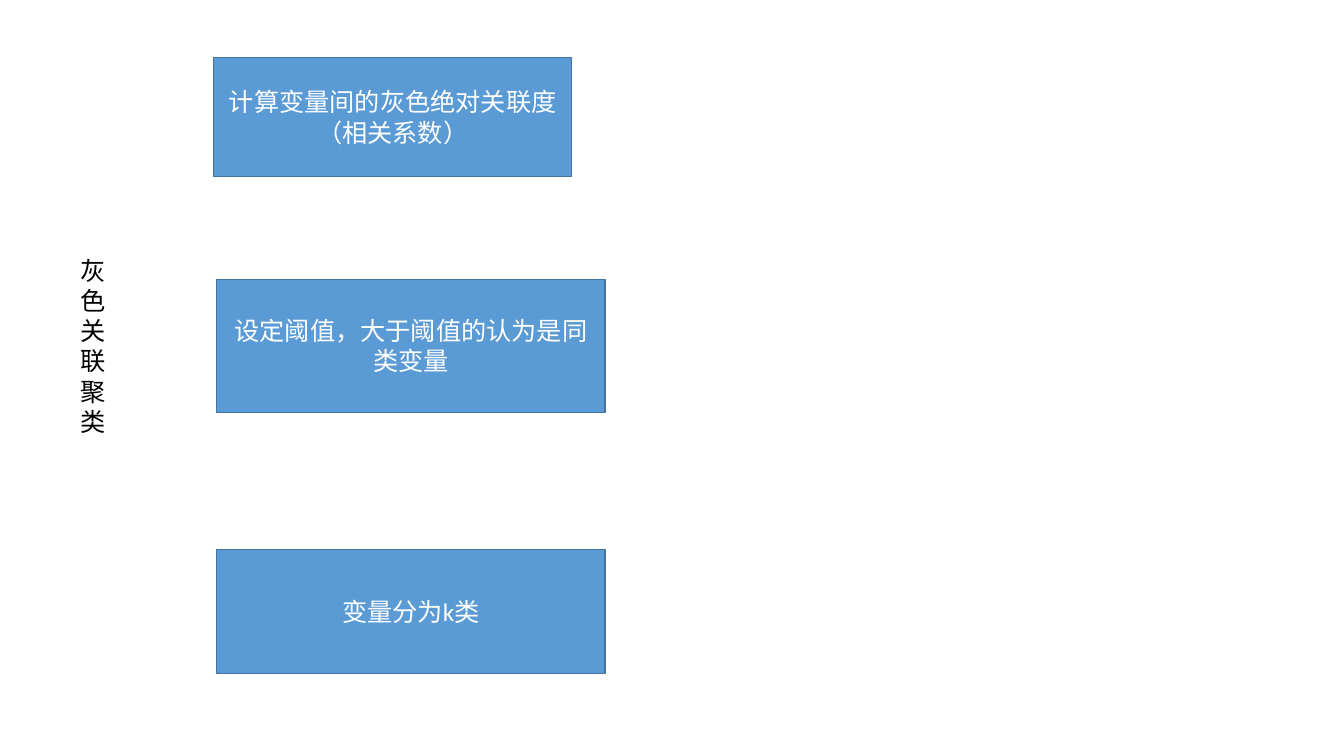
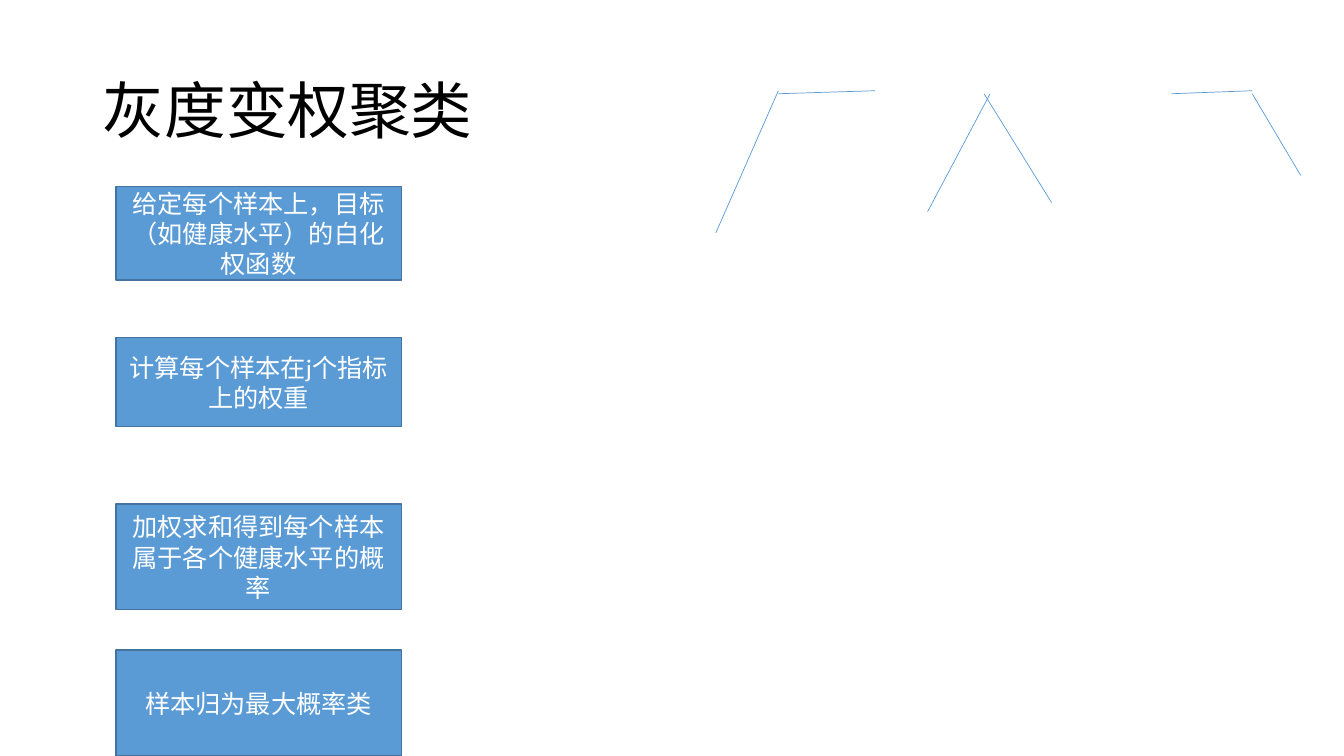
from pptx import Presentation
from pptx.dml.color import RGBColor
from pptx.enum.shapes import MSO_CONNECTOR, MSO_SHAPE
from pptx.enum.text import MSO_ANCHOR, MSO_AUTO_SIZE, PP_ALIGN
from pptx.oxml.ns import qn
from pptx.util import Inches, Pt
from lxml import etree

BLUE = RGBColor(0x5B, 0x9B, 0xD5)
DARK_BLUE = RGBColor(0x43, 0x73, 0x9E)
WHITE = RGBColor(0xFF, 0xFF, 0xFF)
BLACK = RGBColor(0, 0, 0)
FONT = "Calibri"


def write(shape, text, size, color, align, anchor):
    """Put one formatted paragraph into a shape and return its text frame."""
    tf = shape.text_frame
    tf.text = text
    tf.word_wrap = True
    tf.vertical_anchor = anchor
    p = tf.paragraphs[0]
    p.alignment = align
    font = p.runs[0].font
    font.name, font.size, font.color.rgb = FONT, Pt(size), color
    return tf


def add_step(slide, text, left, top, width, height):
    """Add one blue step box with centred white text."""
    s = slide.shapes.add_shape(MSO_SHAPE.RECTANGLE, Inches(left), Inches(top),
                               Inches(width), Inches(height))
    s.shadow.inherit = False
    s.fill.solid()
    s.fill.fore_color.rgb = BLUE
    s.line.color.rgb = DARK_BLUE
    s.line.width = Pt(1)
    write(s, text, 18, WHITE, PP_ALIGN.CENTER, MSO_ANCHOR.MIDDLE)


prs = Presentation()
prs.slide_width, prs.slide_height = Inches(13.33), Inches(7.5)

# Slide 1: grey relational clustering
slide = prs.slides.add_slide(prs.slide_layouts[6])
for text, left, top, width, height in [
    ("计算变量间的灰色绝对关联度（相关系数）", 2.12, 0.57, 3.55, 1.18),
    ("设定阈值，大于阈值的认为是同类变量", 2.15, 2.77, 3.85, 1.32),
    ("变量分为k类", 2.15, 5.45, 3.85, 1.23),
]:
    add_step(slide, text, left, top, width, height)

label = slide.shapes.add_textbox(Inches(0.7), Inches(2.48), Inches(0.42), Inches(1.92))
tf = write(label, "灰色关联聚类", 18, BLACK, PP_ALIGN.LEFT, MSO_ANCHOR.TOP)
tf.auto_size = MSO_AUTO_SIZE.SHAPE_TO_FIT_TEXT

# Slide 2: variable-weight grey clustering
slide = prs.slides.add_slide(prs.slide_layouts[5])
title = slide.shapes.title
title.left, title.top = Inches(0.92), Inches(0.4)
title.width, title.height = Inches(11.5), Inches(1.45)
tf = write(title, "灰度变权聚类", 44, BLACK, PP_ALIGN.LEFT, MSO_ANCHOR.MIDDLE)
tf.auto_size = MSO_AUTO_SIZE.NONE
tf.paragraphs[0].line_spacing = 0.9

for text, top, height in [
    ("给定每个样本上，目标（如健康水平）的白化权函数", 1.85, 0.93),
    ("计算每个样本在j个指标上的权重", 3.35, 0.88),
    ("加权求和得到每个样本属于各个健康水平的概率", 5, 1.05),
    ("样本归为最大概率类", 6.45, 1.05),
]:
    add_step(slide, text, 1.15, top, 2.83, height)

# Three whitening functions: rising, peaked and falling
for x1, y1, x2, y2 in [
    (7.1, 2.31, 7.72, 0.9), (7.72, 0.93, 8.68, 0.9),
    (9.2, 2.1, 9.82, 0.93), (9.76, 0.93, 10.43, 2.01),
    (11.62, 0.93, 12.42, 0.9), (12.42, 0.93, 12.9, 1.74),
]:
    line = slide.shapes.add_connector(MSO_CONNECTOR.STRAIGHT, Inches(x1), Inches(y1),
                                      Inches(x2), Inches(y2))
    line.line.color.rgb = BLUE
    line.line.width = Pt(0.5)
    etree.SubElement(line._element.spPr, qn("a:effectLst"))

prs.save("out.pptx")
